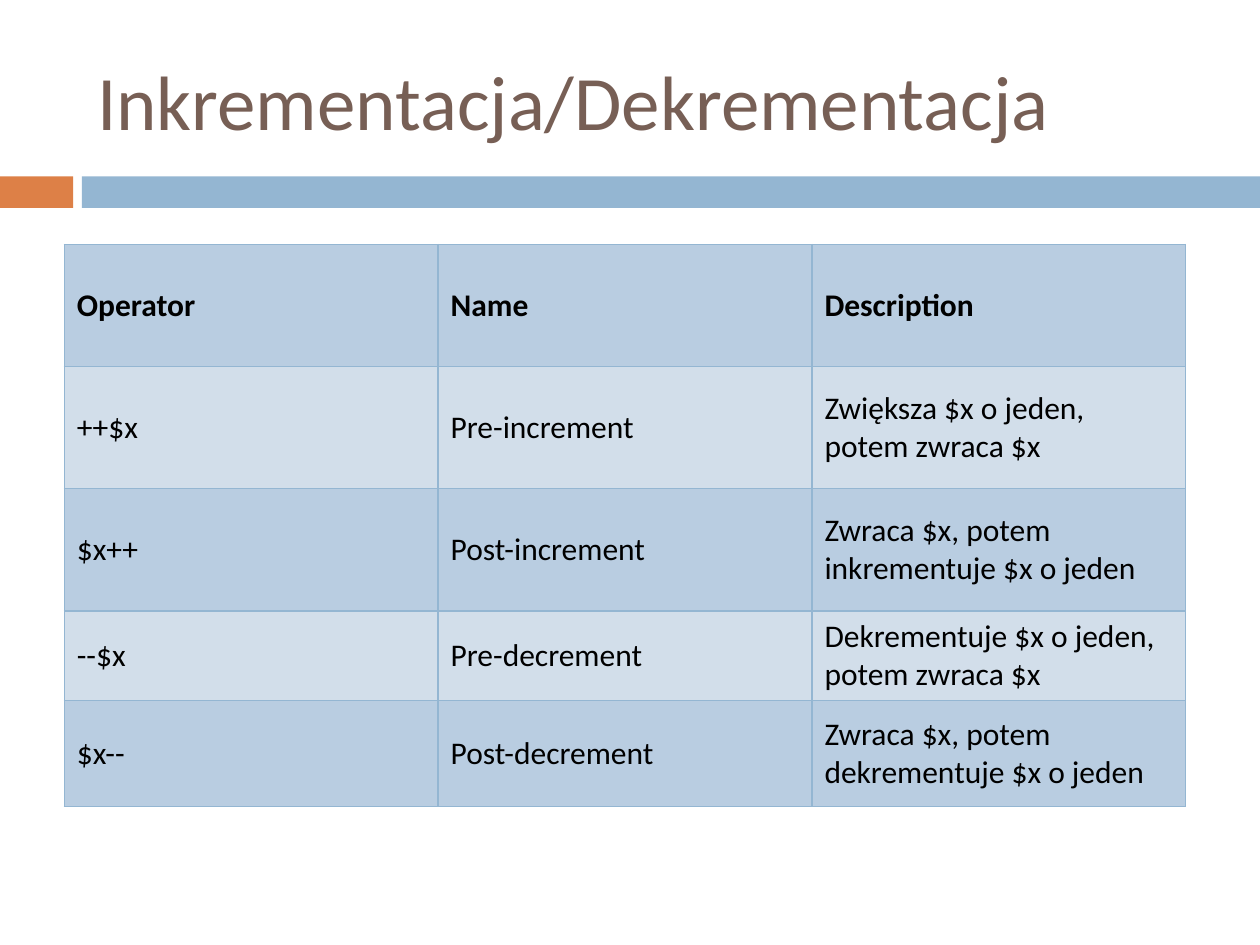
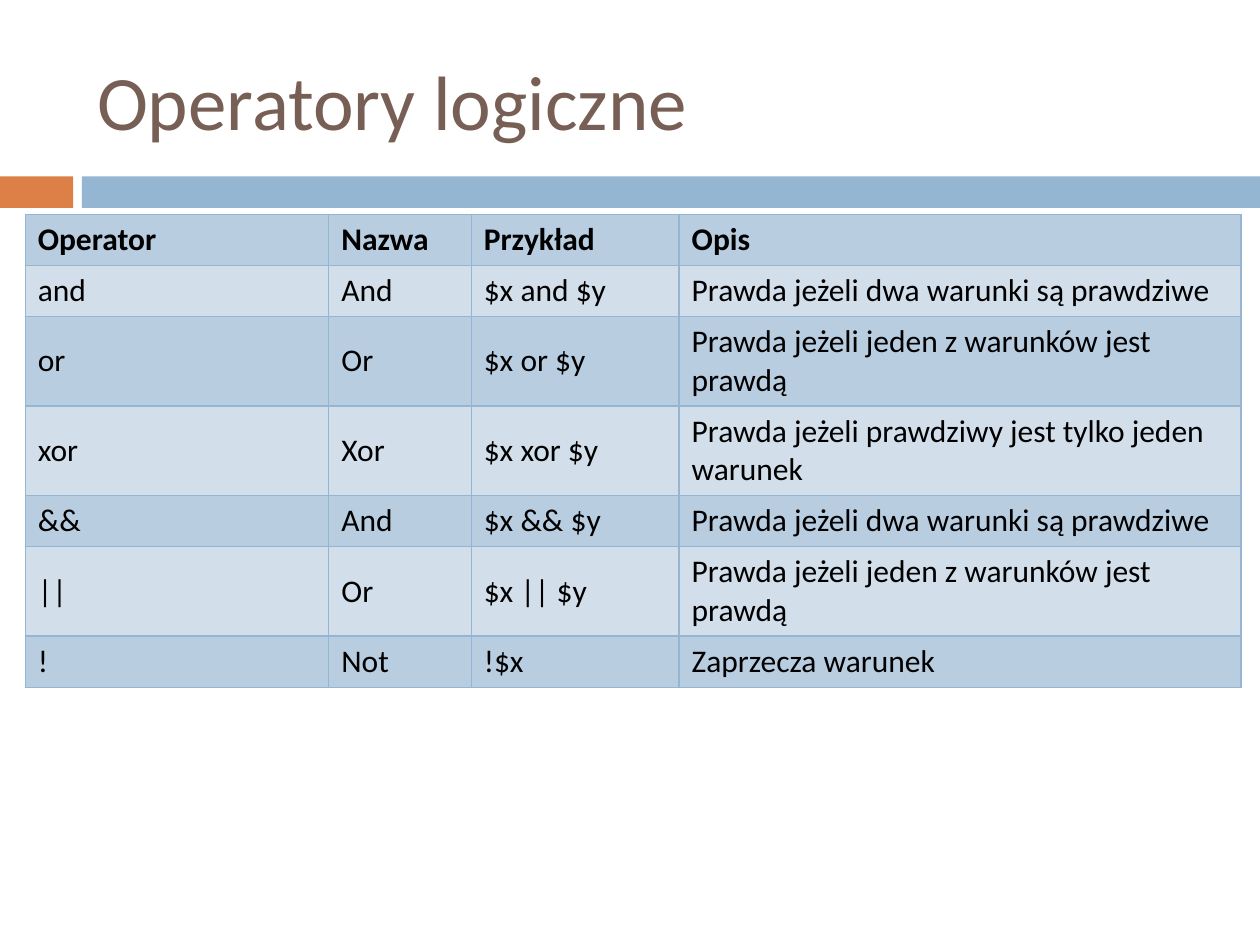
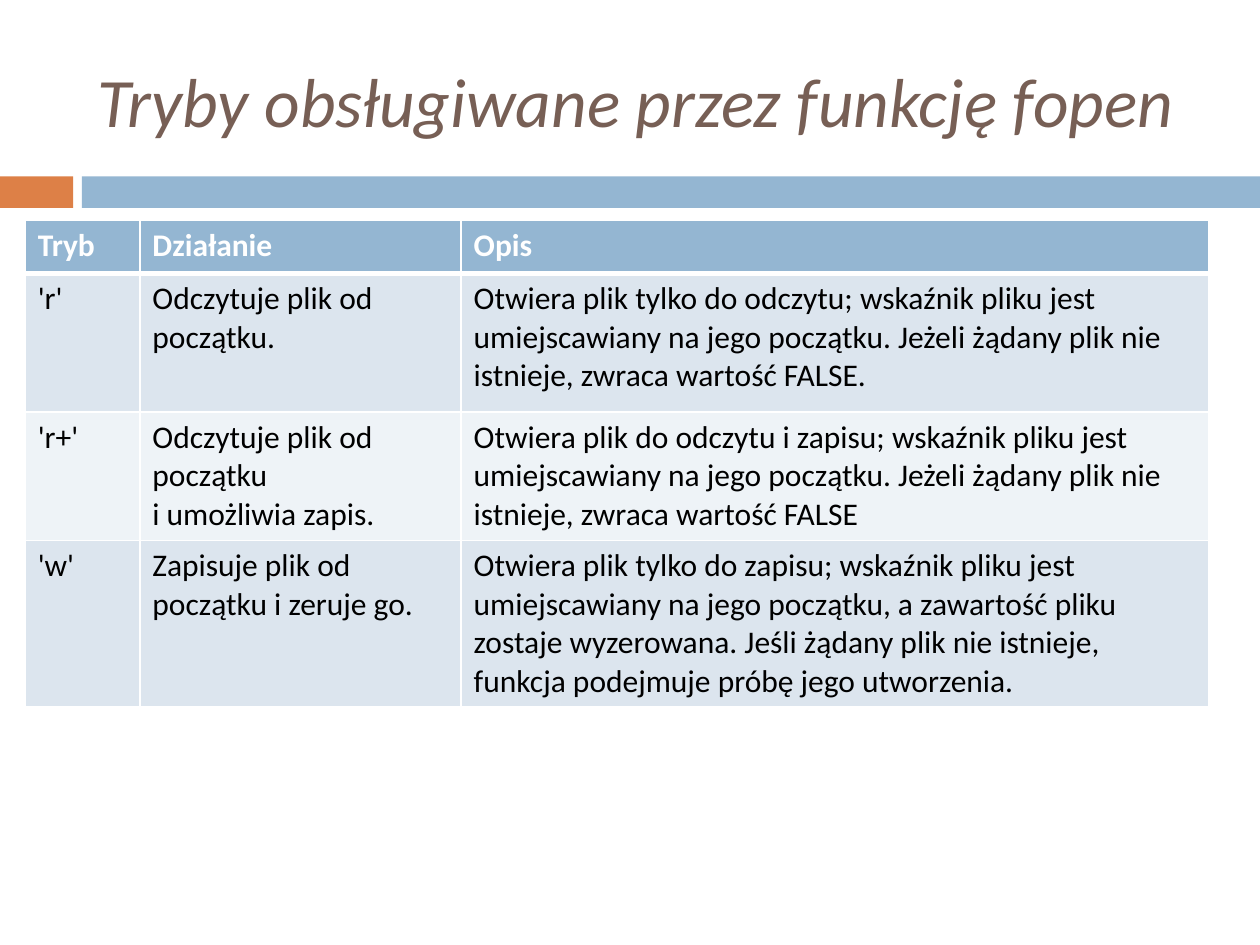
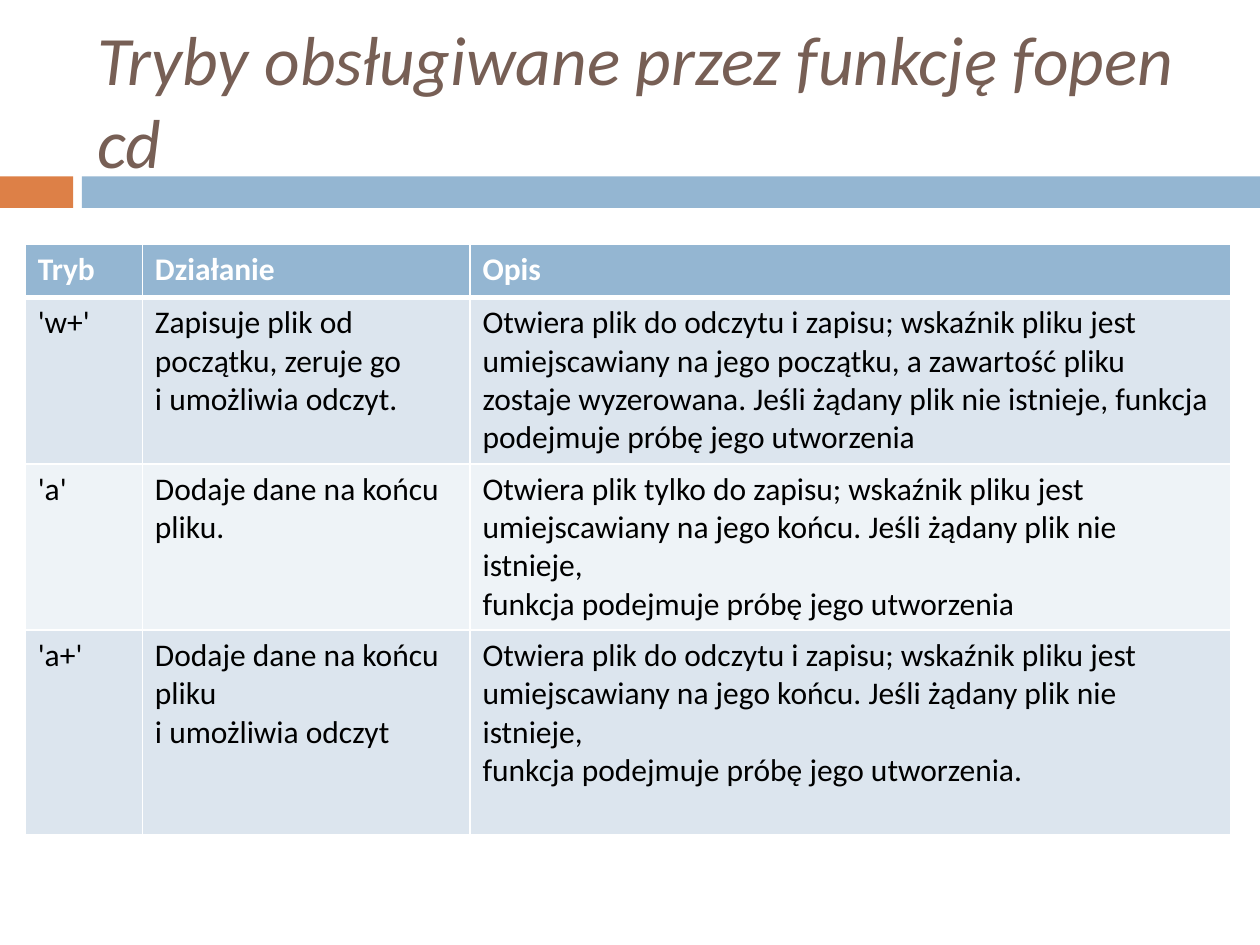
"""Build four slides of operator and file-mode tables under a shared title band."""
from collections.abc import Iterable
from dataclasses import dataclass
from typing import Any

from lxml.etree import SubElement
from pptx import Presentation
from pptx.dml.color import RGBColor as RGB
from pptx.enum.shapes import MSO_SHAPE as Shape
from pptx.enum.text import MSO_ANCHOR as Anchor, MSO_AUTO_SIZE as AutoSize, PP_ALIGN as Align
from pptx.oxml.ns import qn
from pptx.slide import Slide
from pptx.table import _Cell as Cell
from pptx.util import Emu, Inches, Pt

GRID_COLS, GRID_ROWS = 100, 75
WIDTH, HEIGHT = Inches(10), Inches(7.5)


@dataclass(frozen=True)
class Theme:
    font: str = "Calibri"
    title: str = "775F55"
    accent: str = "DD8047"
    band: str = "94B6D2"
    black: str = "000000"
    white: str = "FFFFFF"
    title_size: float = 44
    long_title_size: float = 39.6
    body_size: float = 18


@dataclass(frozen=True)
class Box:
    left: float
    top: float
    width: float
    height: float


@dataclass(frozen=True)
class TableLook:
    header_fill: str
    row_fills: tuple[str, str]
    header_text: str
    border: str
    border_width: float
    header_rule: float
    anchor: Anchor


@dataclass(frozen=True)
class TableSlide:
    title: str
    look: TableLook
    left: float
    top: float
    cols: tuple[float, ...]
    rows: tuple[float, ...]
    cells: tuple[tuple[str, ...], ...]
    long_title: bool = False


THEME = Theme()
TITLE_BOX = Box(6.7, 2.5, 89.2, 10.8)
BANDS = ((Box(0, 14, 5.8, 2.5), THEME.accent), (Box(6.5, 14, 93.5, 2.5), THEME.band))
OPERATORS = TableLook("B9CDE1", ("D2DEEA", "B9CDE1"), THEME.black, THEME.band, 0.79, 0.79, Anchor.MIDDLE)
MODES = TableLook(THEME.band, ("DCE5EE", "EEF3F7"), THEME.white, THEME.white, 1, 3, Anchor.TOP)
MODE_HEADER = ("Tryb", "Działanie", "Opis")

SLIDES = (
    TableSlide(
        "Inkrementacja/Dekrementacja", OPERATORS, 5.1, 19.4,
        (29.67,) * 3, (9.7, 9.7, 9.7, 7.1, 8.4),
        (
            ("Operator", "Name", "Description"),
            ("++$x", "Pre-increment", "Zwiększa $x o jeden, potem zwraca $x"),
            ("$x++", "Post-increment", "Zwraca $x, potem inkrementuje $x o jeden"),
            ("--$x", "Pre-decrement", "Dekrementuje $x o jeden, potem zwraca $x"),
            ("$x--", "Post-decrement", "Zwraca $x, potem dekrementuje $x o jeden"),
        ),
    ),
    TableSlide(
        "Operatory logiczne", OPERATORS, 2, 17,
        (24.1, 11.3, 16.5, 44.6), (4, 4, 7.1, 7.1, 4, 7.1, 4),
        (
            ("Operator", "Nazwa", "Przykład", "Opis"),
            ("and", "And", "$x and $y", "Prawda jeżeli dwa warunki są prawdziwe"),
            ("or", "Or", "$x or $y", "Prawda jeżeli jeden z warunków jest prawdą"),
            ("xor", "Xor", "$x xor $y", "Prawda jeżeli prawdziwy jest tylko jeden warunek"),
            ("&&", "And", "$x && $y", "Prawda jeżeli dwa warunki są prawdziwe"),
            ("||", "Or", "$x || $y", "Prawda jeżeli jeden z warunków jest prawdą"),
            ("!", "Not", "!$x", "Zaprzecza warunek"),
        ),
    ),
    TableSlide(
        "Tryby obsługiwane przez funkcję fopen", MODES, 2, 17.5,
        (9.1, 25.5, 59.3), (4.2, 11, 10.2, 13.2),
        (
            MODE_HEADER,
            ("'r'", "Odczytuje plik od początku.",
             "Otwiera plik tylko do odczytu; wskaźnik pliku jest\n"
             "umiejscawiany na jego początku. Jeżeli żądany plik nie istnieje, zwraca wartość FALSE."),
            ("'r+'", "Odczytuje plik od początku\ni umożliwia zapis.",
             "Otwiera plik do odczytu i zapisu; wskaźnik pliku jest\n"
             "umiejscawiany na jego początku. Jeżeli żądany plik nie istnieje, zwraca wartość FALSE"),
            ("'w'", "Zapisuje plik od początku i zeruje go.",
             "Otwiera plik tylko do zapisu; wskaźnik pliku jest\n"
             "umiejscawiany na jego początku, a zawartość pliku zostaje wyzerowana. "
             "Jeśli żądany plik nie istnieje, funkcja podejmuje próbę jego utworzenia."),
        ),
        long_title=True,
    ),
    TableSlide(
        "Tryby obsługiwane przez funkcję fopen cd", MODES, 2, 19.4,
        (9.3, 26, 60.4), (4.2, 13.2, 13.2, 16.2),
        (
            MODE_HEADER,
            ("'w+'", "Zapisuje plik od początku, zeruje go\ni umożliwia odczyt.",
             "Otwiera plik do odczytu i zapisu; wskaźnik pliku jest\n"
             "umiejscawiany na jego początku, a zawartość pliku zostaje wyzerowana. "
             "Jeśli żądany plik nie istnieje, funkcja\npodejmuje próbę jego utworzenia"),
            ("'a'", "Dodaje dane na końcu pliku.",
             "Otwiera plik tylko do zapisu; wskaźnik pliku jest\n"
             "umiejscawiany na jego końcu. Jeśli żądany plik nie istnieje,\n"
             "funkcja podejmuje próbę jego utworzenia"),
            ("'a+'", "Dodaje dane na końcu pliku\ni umożliwia odczyt",
             "Otwiera plik do odczytu i zapisu; wskaźnik pliku jest\n"
             "umiejscawiany na jego końcu. Jeśli żądany plik nie istnieje,\n"
             "funkcja podejmuje próbę jego utworzenia."),
        ),
        long_title=True,
    ),
)


def col(n: float) -> Emu:
    return Emu(round(WIDTH * n / GRID_COLS))


def row(n: float) -> Emu:
    return Emu(round(HEIGHT * n / GRID_ROWS))


def place(box: Box) -> tuple[Emu, Emu, Emu, Emu]:
    return col(box.left), row(box.top), col(box.width), row(box.height)


def apply(target: Any, values: dict[str, Any]) -> None:
    for name, value in values.items():
        setattr(target, name, value)


def format_text(paragraphs: Iterable[Any], size: float, color: str, **style: bool) -> None:
    for p in paragraphs:
        p.alignment = Align.LEFT
        for r in p.runs:
            apply(r.font, {"name": THEME.font, "size": Pt(size), **style})
            r.font.color.rgb = RGB.from_string(color)


def add_bands(s: Slide) -> None:
    for box, color in BANDS:
        sp = s.shapes.add_shape(Shape.RECTANGLE, *place(box))
        sp.shadow.inherit = False
        sp.fill.solid()
        sp.fill.fore_color.rgb = RGB.from_string(color)
        sp.line.fill.background()


def set_title(s: Slide, text: str, long_title: bool) -> None:
    sp = s.shapes.title
    apply(sp, dict(zip(("left", "top", "width", "height"), place(TITLE_BOX))))
    tf = sp.text_frame
    tf.text = text
    apply(tf, {"word_wrap": True, "auto_size": AutoSize.NONE, "vertical_anchor": Anchor.MIDDLE})
    size = THEME.long_title_size if long_title else THEME.title_size
    format_text(tf.paragraphs, size, THEME.title, italic=long_title)


def set_borders(cell: Cell, color: str, widths: dict[str, float]) -> None:
    props = cell._tc.get_or_add_tcPr()
    for side, width in widths.items():
        ln = SubElement(props, qn(f"a:ln{side}"), w=str(Pt(width)))
        SubElement(SubElement(ln, qn("a:solidFill")), qn("a:srgbClr"), val=color)


def format_cell(cell: Cell, text: str, index: int, look: TableLook) -> None:
    header = index == 0
    width, rule = look.border_width, look.header_rule
    set_borders(cell, look.border, {
        "L": width, "R": width,
        "T": rule if index == 1 else width,
        "B": rule if header else width,
    })
    cell.fill.solid()
    fill = look.header_fill if header else look.row_fills[(index - 1) % 2]
    cell.fill.fore_color.rgb = RGB.from_string(fill)
    cell.vertical_anchor = look.anchor
    cell.text_frame.text = text
    color = look.header_text if header else THEME.black
    format_text(cell.text_frame.paragraphs, THEME.body_size, color, bold=header)


def add_grid(s: Slide, page: TableSlide) -> None:
    box = Box(page.left, page.top, sum(page.cols), sum(page.rows))
    table = s.shapes.add_table(len(page.rows), len(page.cols), *place(box)).table
    table.horz_banding = False
    for column, width in zip(table.columns, page.cols):
        column.width = col(width)
    for i, (line, height, texts) in enumerate(zip(table.rows, page.rows, page.cells)):
        line.height = row(height)
        for cell, text in zip(line.cells, texts):
            format_cell(cell, text, i, page.look)


def main() -> None:
    prs = Presentation()
    apply(prs, {"slide_width": WIDTH, "slide_height": HEIGHT})
    for page in SLIDES:
        s = prs.slides.add_slide(prs.slide_layouts[5])
        add_bands(s)
        set_title(s, page.title, page.long_title)
        add_grid(s, page)
    prs.save("out.pptx")


main()
